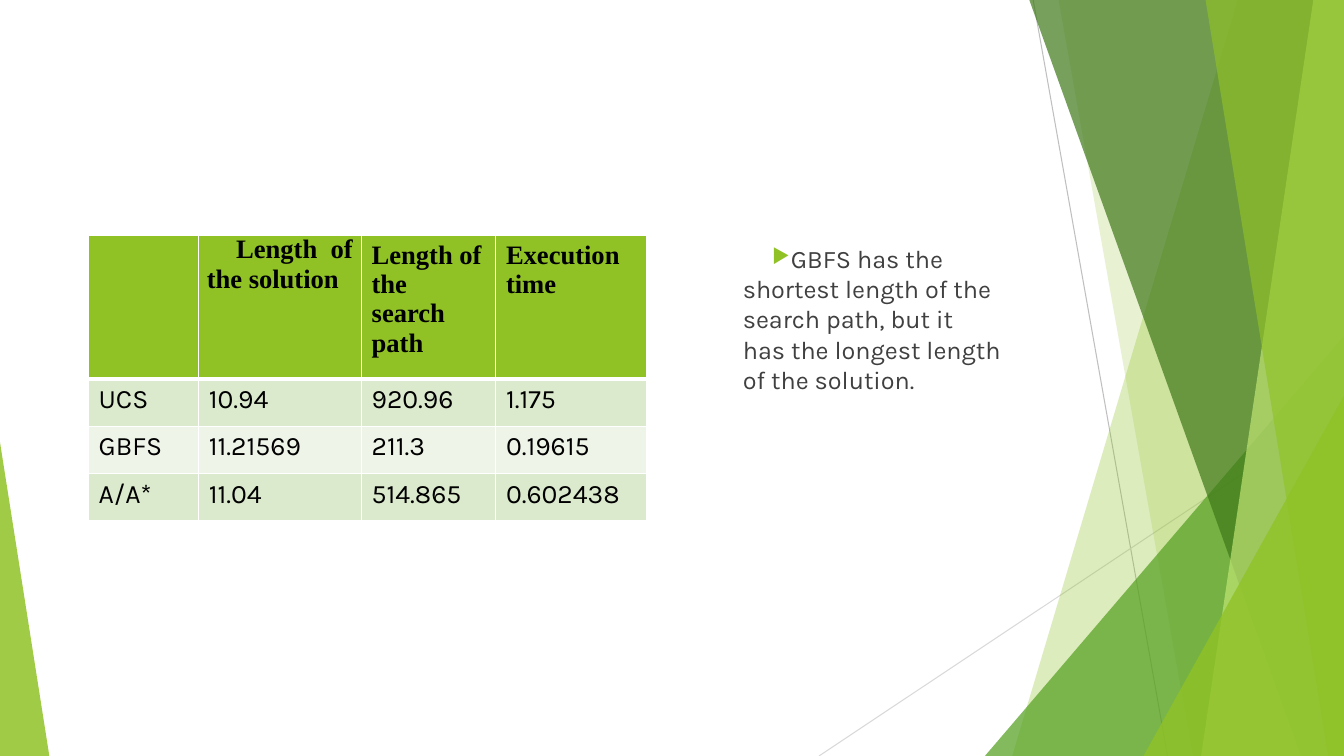
import pptx
import pptx.dml.color
import pptx.enum.shapes
import pptx.enum.text
import pptx.oxml
import pptx.oxml.ns
import pptx.util

PX = 9525
W, H = 1280, 720
COLORS = {
    "lime": "90C226", "green": "54A021", "forest": "3F7819", "pale": "C0E474",
    "band_dark": "DBE9CD", "band_light": "EEF4E8", "white": "FFFFFF",
    "black": "000000", "text": "404040", "line_dark": "BFBFBF", "line_light": "D9D9D9",
}
HEAD = {"name": "Times New Roman", "size": pptx.util.Pt(19), "bold": True}
CELL = {"name": "Karla", "size": pptx.util.Pt(19), "bold": False}
BODY = {"name": "Karla", "size": pptx.util.Pt(18), "bold": False}
ROWS = [
    ["", "Length of the solution", "Length of the search path", "Execution time"],
    ["UCS", "10.94", "920.96", "1.175"],
    ["GBFS", "11.21569", "211.3", "0.19615"],
    ["A/A*", "11.04", "514.865", "0.602438"],
]
COL_WIDTHS = [105, 155, 128, 144]
ROW_HEIGHTS = [137, 45, 45, 45]


def px(*values):
    return [pptx.util.Emu(v * PX) for v in values]


def rgb(name):
    return pptx.dml.color.RGBColor.from_string(COLORS[name])


def add_xml(parent, xml):
    ns = pptx.oxml.ns.nsdecls("a")
    el = pptx.oxml.parse_xml(xml.replace(">", f" {ns}>", 1) if "/>" not in xml.split(">")[0] + ">"
                             else xml.replace("/>", f" {ns}/>", 1))
    parent.append(el)
    return el


def set_attrs(obj, values):
    for key, value in values.items():
        setattr(obj, key, value)


def set_text(p, text, font, color):
    p.text = text
    for r in p.runs:
        set_attrs(r.font, font)
        r.font.color.rgb = rgb(color)


def paint(sp, color, alpha):
    sp.shadow.inherit = False
    sp.fill.solid()
    sp.fill.fore_color.rgb = rgb(color)
    sp.line.fill.background()
    clr = sp.fill._xPr.find(".//" + pptx.oxml.ns.qn("a:srgbClr"))
    add_xml(clr, f'<a:alpha val="{alpha * 1000}"/>')


def add_ray(shapes, start, end, color):
    cx = shapes.add_connector(pptx.enum.shapes.MSO_CONNECTOR.STRAIGHT, *px(*start, *end))
    cx.line.color.rgb = rgb(color)
    cx.line.width = pptx.util.Pt(0.75)
    add_xml(cx._element.spPr, "<a:effectLst/>")


def add_ribbon(shapes, box, top_x, bottom_x, color, alpha):
    x, y, w, h = box
    fb = shapes.build_freeform(x + top_x, y - 1, scale=PX)
    fb.add_line_segments([(x + w, y - 1), (x + w, y + h), (x + bottom_x, y + h)])
    paint(fb.convert_to_shape(), color, alpha)


def add_triangle(shapes, box, apex, color, alpha):
    sp = shapes.add_shape(pptx.enum.shapes.MSO_SHAPE.ISOSCELES_TRIANGLE, *px(*box))
    sp.adjustments[0] = apex
    paint(sp, color, alpha)


def add_facets(slide, box):
    x, y, w, h = box
    shapes = slide.shapes.add_group_shape().shapes
    add_ray(shapes, (x + 984, y), (x + 1112, y + h), "line_dark")
    add_ray(shapes, (x + w, y + 387), (x + 780, y + h), "line_light")
    add_ribbon(shapes, box, 1179, 964, "lime", 30)
    add_ribbon(shapes, box, 1008, 1136, "lime", 20)
    add_triangle(shapes, (x + w - 342, y + h - 400, 342, 400), 1, "green", 72)
    for top_x, bottom_x, color, alpha in [
        (980, 1239, "forest", 70), (1251, 1144, "pale", 70), (1148, 1265, "lime", 65),
    ]:
        add_ribbon(shapes, box, top_x, bottom_x, color, alpha)
    add_triangle(shapes, (x + w - 191, y + h - 343, 191, 343), 1, "lime", 80)
    add_triangle(shapes, (x, y + h - 299, 47, 299), 0, "lime", 85)


def add_borders(cell, bottom):
    tcPr = cell._tc.get_or_add_tcPr()
    for side, width in {"L": 1, "R": 1, "T": 1, "B": bottom}.items():
        add_xml(tcPr, f'<a:ln{side} w="{width * 12700}"><a:solidFill>'
                      f'<a:srgbClr val="{COLORS["white"]}"/></a:solidFill></a:ln{side}>')


def add_results(slide, box):
    table = slide.shapes.add_table(len(ROWS), len(COL_WIDTHS), *px(*box)).table
    for col, width in zip(table.columns, px(*COL_WIDTHS)):
        col.width = width
    for row, height in zip(table.rows, px(*ROW_HEIGHTS)):
        row.height = height
    side, edge = px(10, 5)
    margins = {"margin_left": side, "margin_right": side, "margin_top": edge, "margin_bottom": edge}
    for i, texts in enumerate(ROWS):
        band = "lime" if i == 0 else "band_dark" if i % 2 else "band_light"
        for j, text in enumerate(texts):
            cell = table.cell(i, j)
            add_borders(cell, 3 if i == 0 else 1)
            cell.fill.solid()
            cell.fill.fore_color.rgb = rgb(band)
            set_attrs(cell, margins)
            set_text(cell.text_frame.paragraphs[0], text, CELL if i else HEAD, "black")
    cell = table.cell(0, 1)
    side, edge, indent = px(8, 0, 28)
    set_attrs(cell, {"margin_left": side, "margin_right": side,
                     "margin_top": edge, "margin_bottom": edge})
    p = cell.text_frame.paragraphs[0]
    p.alignment = pptx.enum.text.PP_ALIGN.JUSTIFY
    p._p.get_or_add_pPr().set("indent", str(indent))


def add_finding(slide, box):
    tf = slide.shapes.add_textbox(*px(*box)).text_frame
    tf.word_wrap = True
    p = tf.paragraphs[0]
    set_text(p, "GBFS has the shortest length of the search path, but it\v"
                "has the longest length of the solution.", BODY, "text")
    p.space_before = pptx.util.Pt(10)
    pPr = p._p.get_or_add_pPr()
    margin, indent = px(59, 28)
    pPr.set("marL", str(margin))
    pPr.set("indent", str(indent))
    add_xml(pPr, f'<a:buClr><a:srgbClr val="{COLORS["lime"]}"/></a:buClr>')
    add_xml(pPr, '<a:buSzPct val="80000"/>')
    add_xml(pPr, '<a:buChar char="▶"/>')


def main():
    prs = pptx.Presentation()
    prs.slide_width, prs.slide_height = px(W, H)
    slide = prs.slides.add_slide(prs.slide_layouts[6])
    add_facets(slide, (0, 0, W, H))
    add_finding(slide, (639, 227, 333, 407))
    add_results(slide, (84, 224, sum(COL_WIDTHS), sum(ROW_HEIGHTS)))
    prs.save("out.pptx")


if __name__ == "__main__":
    main()
